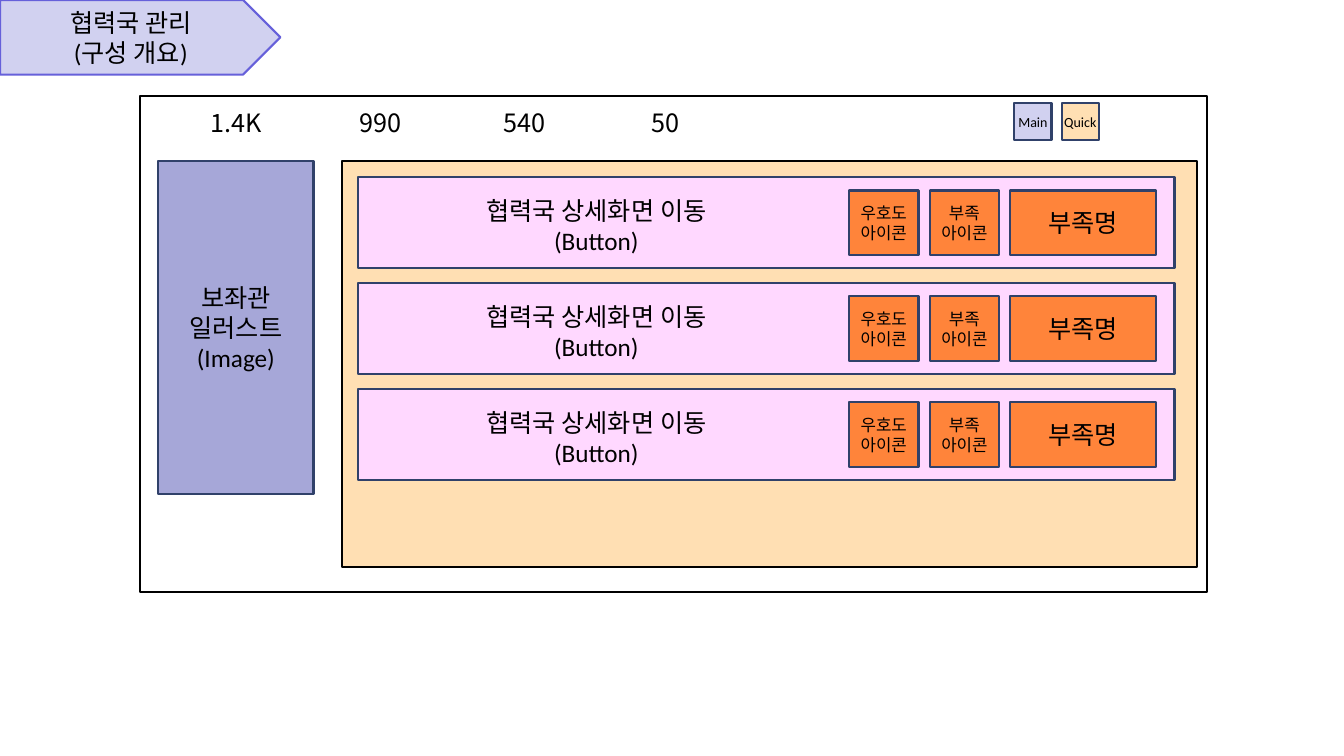
from pptx import Presentation
from pptx.dml.color import RGBColor
from pptx.enum.shapes import MSO_SHAPE
from pptx.enum.text import MSO_ANCHOR, MSO_AUTO_SIZE, PP_ALIGN
from pptx.util import Inches, Pt

RECT, PENTAGON = MSO_SHAPE.RECTANGLE, MSO_SHAPE.PENTAGON
MIDDLE, CENTER, LEFT = MSO_ANCHOR.MIDDLE, PP_ALIGN.CENTER, PP_ALIGN.LEFT
GROW = MSO_AUTO_SIZE.SHAPE_TO_FIT_TEXT
BLACK, NAVY, VIOLET = "000000", "30416A", "6660DA"
LILAC, PERIWINKLE, PEACH = "D1D1F0", "A6A7D8", "FFDFB3"
PINK, ORANGE = "FFD8FF", "FF843A"


def write(sp, lines, size, align=CENTER, font="Calibri"):
    tf = sp.text_frame
    tf.word_wrap = True
    for i, line in enumerate(lines):
        p = tf.paragraphs[0] if i == 0 else tf.add_paragraph()
        p.text = line
        p.alignment = align
        p.font.name = font
        p.font.size = Pt(size)
        p.font.color.rgb = RGBColor.from_string(BLACK)


def box(x, y, w, h, fill=None, line=NAVY, lines=(), size=18, tight=False, kind=RECT):
    sp = s.shapes.add_shape(kind, Inches(x), Inches(y), Inches(w), Inches(h))
    sp.shadow.inherit = False
    if fill:
        sp.fill.solid()
        sp.fill.fore_color.rgb = RGBColor.from_string(fill)
    else:
        sp.fill.background()
    sp.line.color.rgb = RGBColor.from_string(line)
    sp.line.width = Pt(1.5)
    tf = sp.text_frame
    tf.vertical_anchor = MIDDLE
    if tight:
        tf.margin_left = tf.margin_top = tf.margin_right = tf.margin_bottom = 0
    write(sp, lines, size)


prs = Presentation()
prs.slide_width, prs.slide_height = Inches(13.33), Inches(7.5)
s = prs.slides.add_slide(prs.slide_layouts[6])

# Screen frame, list panel, aide illustration and heading arrow
box(1.39, 0.95, 10.58, 4.92, line=BLACK)
box(3.39, 1.6, 8.48, 4.03, PEACH, BLACK)
box(1.57, 1.6, 1.54, 3.3, PERIWINKLE, lines=["보좌관", "일러스트", "(Image)"])
box(0, 0, 2.78, 0.74, LILAC, VIOLET, ["협력국 관리", "(구성 개요)"], kind=PENTAGON)

# Partner country rows
for row in range(3):
    y = 1.76 + 1.05 * row
    box(3.55, y, 8.1, 0.9, PINK)
    box(10.02, y + 0.13, 1.45, 0.64, ORANGE, lines=["부족명"])
    for x, label in [(8.42, "우호도"), (9.22, "부족")]:
        box(x, y + 0.13, 0.69, 0.64, ORANGE, lines=[label, "아이콘"], size=12, tight=True)
    sp = s.shapes.add_textbox(Inches(3.66), Inches(y + 0.13), Inches(4.51), Inches(0.7))
    write(sp, ["협력국 상세화면 이동", "(Button)"], 18)
    sp.text_frame.auto_size = GROW

# Resource counters
for x, w, amount in [(1.99, 0.85, "1.4K"), (3.47, 0.77, "990"), (4.9, 0.77, "540"), (6.36, 0.77, "50")]:
    sp = s.shapes.add_textbox(Inches(x), Inches(1.02), Inches(w), Inches(0.4))
    write(sp, [amount], 18, LEFT, "Noto Sans CJK KR")
    sp.text_frame.auto_size = GROW

# Menu buttons
for x, fill, label in [(10.53, PEACH, "Quick"), (10.06, LILAC, "Main")]:
    box(x, 1.02, 0.37, 0.37, fill, lines=[label], size=10, tight=True)

prs.save("out.pptx")
